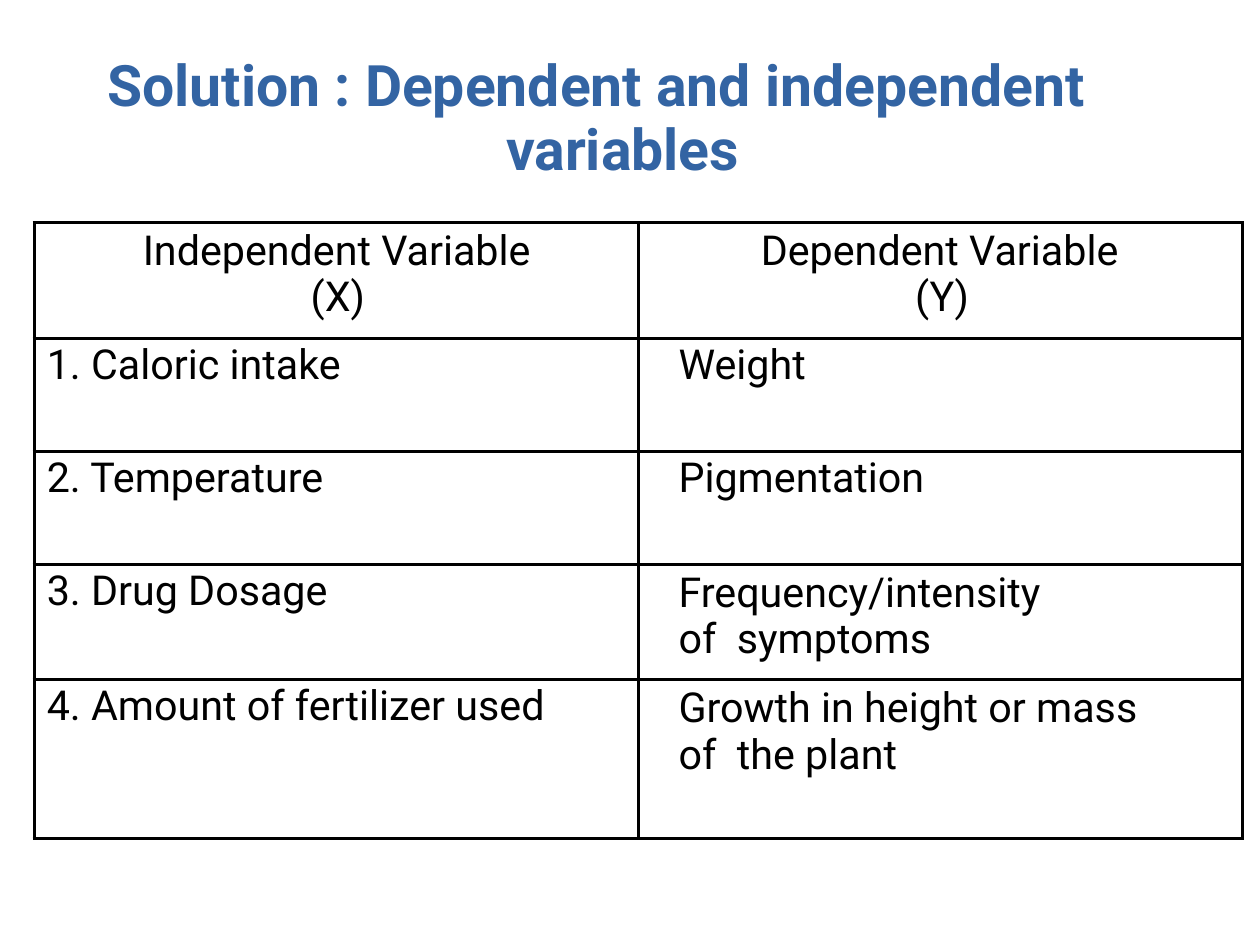
"""Build the slide that sorts examples into independent and dependent variables."""
from dataclasses import dataclass

from lxml import etree
from pptx import Presentation
from pptx.dml.color import RGBColor
from pptx.enum.text import MSO_ANCHOR, MSO_AUTO_SIZE, PP_ALIGN
from pptx.oxml.ns import qn
from pptx.table import _Cell
from pptx.text.text import TextFrame
from pptx.util import Length, Pt

BLUE = RGBColor(0x33, 0x64, 0xA3)
BLACK = RGBColor(0x00, 0x00, 0x00)
LEFT = PP_ALIGN.LEFT
TOP = MSO_ANCHOR.TOP
NO_AUTOFIT = MSO_AUTO_SIZE.NONE
TITLE_ONLY = 5
FONT = "Roboto"
BORDER_WIDTH = Pt(2.25)


@dataclass(frozen=True)
class TextStyle:
    size: Length
    color: RGBColor
    bold: bool
    top_inset: Length
    margin: Length
    hanging: Length = Pt(0)
    line_spacing: Length | None = None


@dataclass(frozen=True)
class VariablePair:
    independent: str
    dependent: str
    height: Length
    independent_style: TextStyle
    dependent_style: TextStyle


def body_style(top: float, margin: float, hanging: float = 0,
               spacing: float | None = None) -> TextStyle:
    line_spacing = None if spacing is None else Pt(spacing)
    return TextStyle(Pt(26), BLACK, False, Pt(top), Pt(margin), Pt(hanging), line_spacing)


TITLE = TextStyle(Pt(36), BLUE, True, Pt(14.4), Pt(271.44), Pt(251.28), Pt(40.3))
HEAD_X = body_style(4, 174.24, 105.84, 29.2)
HEAD_Y = body_style(4, 174.24, 97.2, 29.2)
NUMBERED = body_style(1.6, 7.92)
EFFECT = body_style(1.6, 25.2)
LONG_EFFECT = body_style(4.2, 25.2, spacing=29.2)

PAIRS = [
    VariablePair("Independent Variable\v(X)", "Dependent Variable\v(Y)",
                 Pt(72.72), HEAD_X, HEAD_Y),
    VariablePair("1. Caloric intake", "Weight", Pt(71.28), NUMBERED, EFFECT),
    VariablePair("2. Temperature", "Pigmentation", Pt(71.28), NUMBERED, EFFECT),
    VariablePair("3. Drug Dosage", "Frequency/intensity\vof  symptoms",
                 Pt(72.72), NUMBERED, LONG_EFFECT),
    VariablePair("4. Amount of fertilizer used", "Growth in height or mass\vof  the plant",
                 Pt(100.08), NUMBERED, LONG_EFFECT),
]


def write_text(frame: TextFrame, text: str, style: TextStyle) -> None:
    paragraph = frame.paragraphs[0]
    paragraph.text = text
    paragraph.alignment = LEFT
    paragraph.space_before = Pt(0)
    if style.line_spacing is not None:
        paragraph.line_spacing = style.line_spacing
    properties = paragraph._p.get_or_add_pPr()
    properties.set("marL", str(style.margin))
    properties.set("indent", str(-style.hanging))
    font = paragraph.font
    font.name = FONT
    font.size = style.size
    font.bold = style.bold
    font.color.rgb = style.color


def draw_borders(cell: _Cell) -> None:
    properties = cell._tc.get_or_add_tcPr()
    for side in ("a:lnL", "a:lnR", "a:lnT", "a:lnB"):
        border = etree.SubElement(properties, qn(side), w=str(BORDER_WIDTH))
        fill = etree.SubElement(border, qn("a:solidFill"))
        etree.SubElement(fill, qn("a:srgbClr"), val=str(BLACK))


def fill_cell(cell: _Cell, text: str, style: TextStyle) -> None:
    cell.margin_left = cell.margin_right = cell.margin_bottom = Pt(0)
    cell.margin_top = style.top_inset
    cell.vertical_anchor = TOP
    draw_borders(cell)
    cell.fill.background()
    write_text(cell.text_frame, text, style)


def main() -> None:
    presentation = Presentation()
    presentation.slide_width = Pt(794.16)
    presentation.slide_height = Pt(594.72)
    slide = presentation.slides.add_slide(presentation.slide_layouts[TITLE_ONLY])

    title = slide.shapes.title
    title.left, title.top = Pt(47.52), Pt(19.44)
    title.width, title.height = Pt(699.12), Pt(104.4)
    frame = title.text_frame
    frame.margin_left = frame.margin_right = frame.margin_bottom = Pt(0)
    frame.margin_top = TITLE.top_inset
    frame.vertical_anchor = TOP
    frame.word_wrap = True
    frame.auto_size = NO_AUTOFIT
    write_text(frame, "Solution : Dependent and independent variables", TITLE)

    table_height = Length(sum(pair.height for pair in PAIRS))
    variables = slide.shapes.add_table(
        len(PAIRS), 2, Pt(21.6), Pt(140.4), Pt(761.76), table_height).table
    variables.first_row = False
    variables.horz_banding = False
    for index, pair in enumerate(PAIRS):
        variables.rows[index].height = pair.height
        fill_cell(variables.cell(index, 0), pair.independent, pair.independent_style)
        fill_cell(variables.cell(index, 1), pair.dependent, pair.dependent_style)

    presentation.save("out.pptx")


if __name__ == "__main__":
    main()
